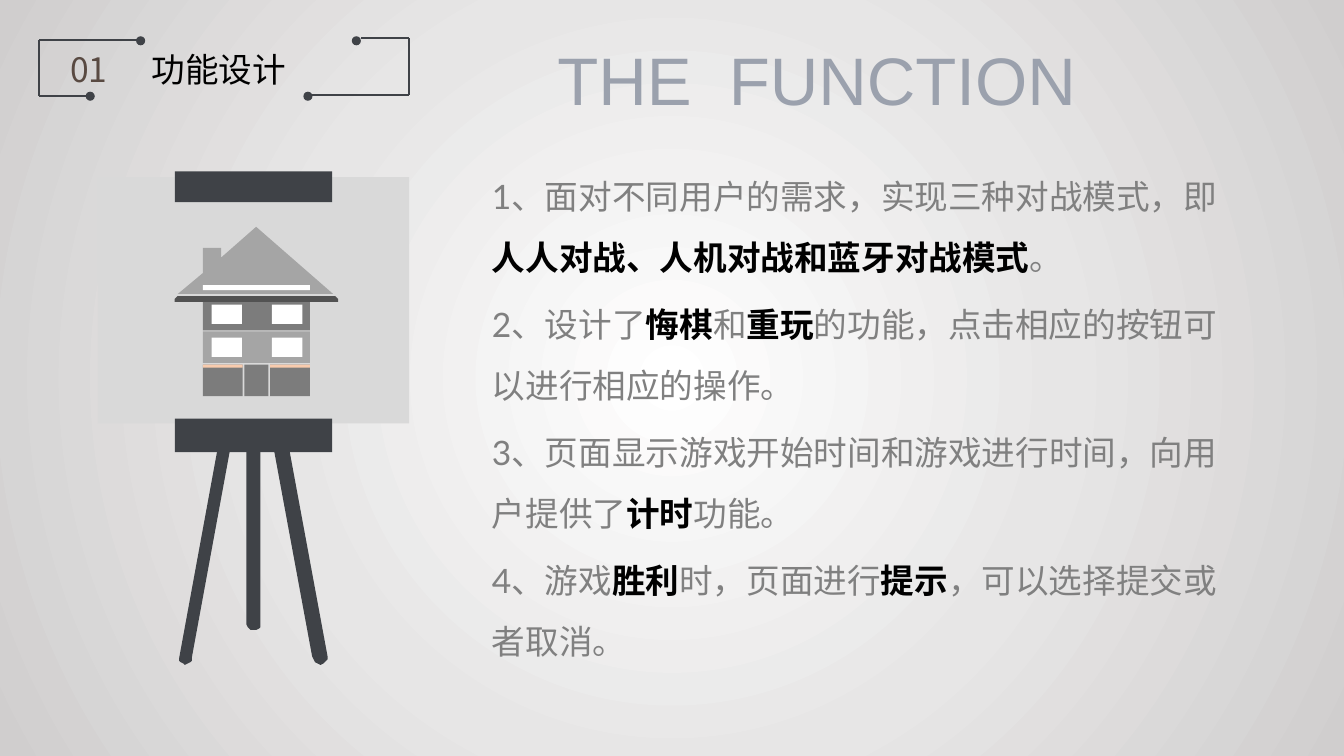
from math import cos, pi, sin

from pptx import Presentation
from pptx.dml.color import RGBColor
from pptx.enum.shapes import MSO_CONNECTOR, MSO_SHAPE
from pptx.enum.text import MSO_ANCHOR, MSO_AUTO_SIZE, PP_ALIGN
from pptx.oxml import parse_xml
from pptx.oxml.ns import nsdecls, qn
from pptx.util import Pt
from lxml.etree import SubElement

COLORS = {
    "dark": "3F4247", "board": "D9D9D9", "wall": "7C7C7C", "roof": "A5A5A5",
    "eave": "525252", "trim": "F8CBAD", "white": "FFFFFF", "black": "000000",
    "text": "808080", "title": "9BA1AD", "number": "594A42",
    "mid": "E7E6E6", "edge": "D0CECE",
}
CJK_FONT = "Noto Sans CJK SC"
FUNCTIONS = [
    ["1、面对不同用户的需求，实现三种对战模式，即", "人人对战、人机对战和蓝牙对战模式", "。"],
    ["2、设计了", "悔棋", "和", "重玩", "的功能，点击相应的按钮可以进行相应的操作。"],
    ["3、页面显示游戏开始时间和游戏进行时间，向用户提供了", "计时", "功能。"],
    ["4、游戏", "胜利", "时，页面进行", "提示", "，可以选择提交或者取消。"],
]


def rgb(name):
    return RGBColor.from_string(COLORS[name])


def set_background(s):
    s.background.fill.gradient()
    old = s.background._cSld.find(".//" + qn("a:gradFill"))
    stops = "".join(
        f'<a:gs pos="{pos}"><a:srgbClr val="{COLORS[name]}"/></a:gs>'
        for pos, name in ((0, "white"), (51000, "mid"), (100000, "edge")))
    old.getparent().replace(old, parse_xml(
        f'<a:gradFill {nsdecls("a")} rotWithShape="1"><a:gsLst>{stops}</a:gsLst>'
        '<a:path path="circle"><a:fillToRect l="50000" t="50000" r="50000" b="50000"/>'
        '</a:path></a:gradFill>'))


def write(sp, paragraphs, size=24, font=CJK_FONT, color="black", line=None,
          before=0, inset=(7.2, 3.6), wrap=True):
    tf = sp.text_frame
    tf.word_wrap = wrap
    tf.auto_size = MSO_AUTO_SIZE.NONE
    tf.vertical_anchor = MSO_ANCHOR.TOP
    tf.margin_left = tf.margin_right = Pt(inset[0])
    tf.margin_top = tf.margin_bottom = Pt(inset[1])
    for i, runs in enumerate(paragraphs):
        p = tf.add_paragraph() if i else tf.paragraphs[0]
        p.alignment = PP_ALIGN.LEFT
        p.line_spacing = line
        p.space_before = Pt(before if i else 0)
        for j, text in enumerate(runs):
            r = p.add_run()
            r.text = text
            strong = j % 2 == 1
            r.font.size = Pt(size)
            r.font.bold = strong
            r.font.color.rgb = rgb("black" if strong else color)
            r.font.name = font
            SubElement(r.font._element, qn("a:ea"), typeface=CJK_FONT)


def add_text(shapes, box, text, **fmt):
    write(shapes.add_textbox(*map(Pt, box)), [[text]], wrap=False, **fmt)


def paint(sp, color):
    sp.shadow.inherit = False
    sp.fill.solid()
    sp.fill.fore_color.rgb = rgb(color)
    sp.line.fill.background()


def add_block(shapes, x, y, w, h, color, kind=MSO_SHAPE.RECTANGLE):
    sp = shapes.add_shape(kind, Pt(x), Pt(y), Pt(w), Pt(h))
    paint(sp, color)
    return sp


def add_outline(shapes, points, color):
    builder = shapes.build_freeform(*points[0], scale=Pt(1))
    builder.add_line_segments(points[1:], close=True)
    paint(builder.convert_to_shape(), color)


def add_leg(shapes, x_top, x_foot, bottom, width):
    radius = width / 2
    foot = [(x_foot + radius + radius * cos(pi * k / 8),
             bottom - radius + radius * sin(pi * k / 8)) for k in range(9)]
    add_outline(shapes, [(x_top, 323), (x_top + width, 323), *foot], "dark")


def add_line(shapes, x1, y1, x2, y2):
    line = shapes.add_connector(MSO_CONNECTOR.STRAIGHT, Pt(x1), Pt(y1), Pt(x2), Pt(y2))
    line.line.color.rgb = rgb("dark")
    line.line.width = Pt(1.5)
    SubElement(line._element.spPr, qn("a:effectLst"))


def add_easel(shapes):
    add_block(shapes, 70, 126.5, 222.2, 176, "board")
    add_block(shapes, 125, 122.5, 112.3, 22, "dark")
    for leg in ((195.8, 223.2, 474.8, 10.8), (155.3, 128, 474.8, 9), (176.5, 176.5, 450.5, 9.4)):
        add_leg(shapes, *leg)
    add_block(shapes, 125, 299, 112.3, 24, "dark")


def add_house(shapes):
    left, width = 144.9, 76.5
    add_block(shapes, left, 211.7, width, 24.3, "wall")
    eave = add_block(shapes, 124.7, 211.5, 116.8, 4.2, "eave", MSO_SHAPE.SNIP_2_SAME_RECTANGLE)
    eave.adjustments[0] = 0.5
    add_block(shapes, left, 236.7, width, 22.5, "roof")
    for y in (217.6, 241.1):
        for x in (151.2, 194.3):
            add_block(shapes, x, y, 21.7, 13.8, "white")
    for x in (left, left + width - 28.4):
        add_block(shapes, x, 260.4, 28.4, 22.6, "wall")
        add_block(shapes, x, 260.4, 28.4, 2.2, "trim")
    add_block(shapes, 174.5, 260.4, 17.3, 22.6, "wall")
    add_outline(shapes, [(183, 162), (238.4, 210.5), (127.4, 210.5), (left, 195.2),
                         (left, 176.6), (158.5, 176.6), (158.5, 183.6)], "roof")
    add_block(shapes, left, 203.6, width, 3.6, "white")


def add_header(shapes):
    for line in ((98, 28.8, 28, 28.8), (28, 28.8, 28, 68.4), (28, 68.4, 63.4, 68.4),
                 (223.2, 67.7, 292.3, 67.7), (292.3, 67.7, 292.3, 27.4),
                 (292.3, 27.4, 257.8, 27.4)):
        add_line(shapes, *line)
    for x, y in ((97.2, 25.9), (61.2, 65.5), (216.7, 65.5), (251.3, 25.9)):
        add_block(shapes, x, y, 6.5, 6.5, "dark", MSO_SHAPE.OVAL)
    add_text(shapes, (43.2, 31.5, 43.2, 36), "01", color="number")
    add_text(shapes, (101.2, 31.2, 112, 36), "功能设计")


def main():
    prs = Presentation()
    prs.slide_width, prs.slide_height = Pt(960), Pt(540)
    s = prs.slides.add_slide(prs.slide_layouts[5])
    set_background(s)
    title = s.shapes.title
    title.left, title.top, title.width, title.height = map(Pt, (398.2, 27.4, 413.3, 58.3))
    write(title, [["THE  FUNCTION"]], size=48, font="Arial", color="title", inset=(0, 0))
    body = s.shapes.add_textbox(*map(Pt, (342, 106.6, 549.4, 391.7)))
    write(body, FUNCTIONS, font="Lato", color="text", line=1.5, before=5, inset=(9.4, 5))
    for add_part in (add_easel, add_house, add_header):
        add_part(s.shapes.add_group_shape().shapes)
    prs.save("out.pptx")


if __name__ == "__main__":
    main()
